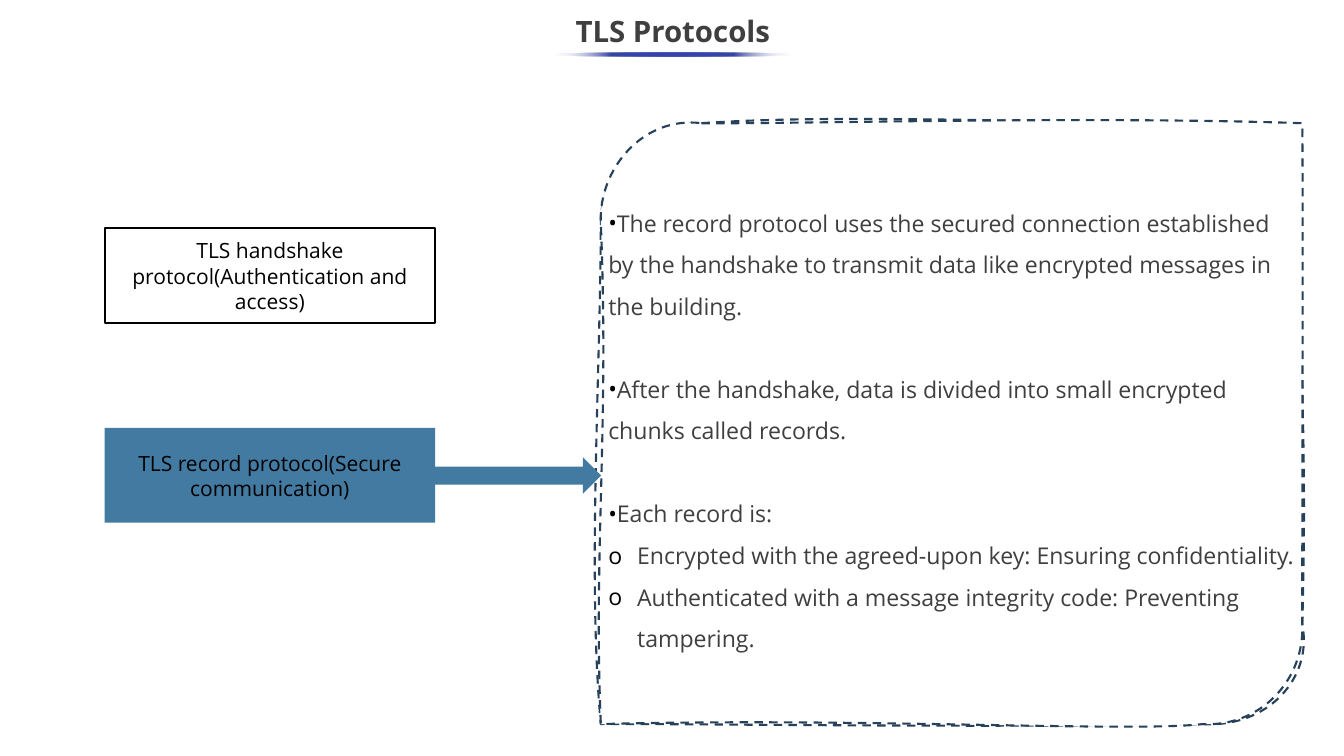
from dataclasses import dataclass
from lxml import etree
from pptx import Presentation
from pptx.dml.color import RGBColor
from pptx.enum.dml import MSO_LINE
from pptx.enum.shapes import MSO_SHAPE
from pptx.enum.text import MSO_ANCHOR, PP_ALIGN
from pptx.oxml.ns import qn
from pptx.util import Cm, Pt

RECT, ARROW, OVAL = MSO_SHAPE.RECTANGLE, MSO_SHAPE.RIGHT_ARROW, MSO_SHAPE.OVAL
DASH = MSO_LINE.DASH
MIDDLE = MSO_ANCHOR.MIDDLE
LEFT, CENTER = PP_ALIGN.LEFT, PP_ALIGN.CENTER


@dataclass(frozen=True)
class Theme:
    font: str = "Open Sans"
    ink: str = "3F3F3F"
    black: str = "000000"
    white: str = "FFFFFF"
    blue: str = "427AA1"
    navy: str = "264159"
    accent: str = "3645A9"
    title_size: int = 28
    label_size: int = 20
    body_size: int = 22
    line_width: int = 2


BULLETS = [
    ("•", "The record protocol uses the secured connection established by the handshake "
          "to transmit data like encrypted messages in the building.", False),
    ("•", "After the handshake, data is divided into small encrypted chunks called records.", True),
    ("•", "Each record is:", True),
    ("o", "Encrypted with the agreed-upon key: Ensuring confidentiality.", False),
    ("o", "Authenticated with a message integrity code: Preventing tampering.", False),
]
INDENTS = {"•": (0, -0.38), "o": (0.97, -0.97)}

PANEL_LEFT, PANEL_TOP, PANEL_RIGHT, PANEL_BOTTOM = 20.19, 4.14, 43.76, 24.33
ANCHORS = [(23.57, PANEL_TOP), (PANEL_RIGHT, PANEL_TOP), (PANEL_RIGHT, 20.98),
           (40.41, PANEL_BOTTOM), (PANEL_LEFT, PANEL_BOTTOM), (PANEL_LEFT, 7.52)]
SKETCH_CONTROLS = [
    [((28.96, 3.76), (38.07, 4.27)), ((43.51, 11.61), (43.97, 13.31)),
     ((44.12, 22.76), (42.62, 24.46)), ((32.72, 24.46), (23.29, 24.31)),
     ((19.74, 19.53), (20.17, 12.65)), ((20.17, 5.61), (21.84, 4.04))],
    [((26.8, 4.17), (36.42, 3.89)), ((43.79, 7.37), (43.76, 12.9)),
     ((43.84, 22.81), (42.39, 24.43)), ((37.97, 24.61), (28.85, 24.1)),
     ((19.94, 18.57), (20.47, 14.4)), ((20.09, 5.71), (21.59, 3.89))],
]


class SlideBuilder:
    def __init__(self, slide, theme):
        self.s = slide
        self.theme = theme

    def run(self, p, text, size, color, bold=False):
        r = p.add_run()
        r.text = text
        r.font.name = self.theme.font
        r.font.size = Pt(size)
        r.font.bold = bold
        r.font.color.rgb = RGBColor.from_string(color)

    def style(self, sp, fill, line=None):
        sp.shadow.inherit = False
        sp.fill.solid()
        sp.fill.fore_color.rgb = RGBColor.from_string(fill)
        if line:
            sp.line.color.rgb = RGBColor.from_string(line)
            sp.line.width = Pt(self.theme.line_width)
        else:
            sp.line.fill.background()

    def title(self, text, left, top, width, height):
        sp = self.s.shapes.title
        sp.left, sp.top, sp.width, sp.height = Cm(left), Cm(top), Cm(width), Cm(height)
        tf = sp.text_frame
        tf.vertical_anchor = MIDDLE
        p = tf.paragraphs[0]
        p.alignment = CENTER
        p.line_spacing = 0.9
        self.run(p, text, self.theme.title_size, self.theme.ink, True)

    def shape(self, kind, left, top, width, height, fill, line=None):
        sp = self.s.shapes.add_shape(kind, Cm(left), Cm(top), Cm(width), Cm(height))
        self.style(sp, fill, line)
        return sp

    def box(self, text, left, top, width, height, fill, line=None):
        sp = self.shape(RECT, left, top, width, height, fill, line)
        tf = sp.text_frame
        tf.word_wrap = True
        tf.vertical_anchor = MIDDLE
        p = tf.paragraphs[0]
        p.alignment = CENTER
        self.run(p, text, self.theme.label_size, self.theme.black)

    def underline(self, left, top, width, height):
        sp = self.shape(OVAL, left, top, width, height, self.theme.accent)
        solid = sp.element.spPr.find(qn("a:solidFill"))
        grad = etree.Element(qn("a:gradFill"))
        stops = etree.SubElement(grad, qn("a:gsLst"))
        for percent in range(0, 101, 25):
            edge = percent in (0, 100)
            stop = etree.SubElement(stops, qn("a:gs"), pos=str(percent * 1000))
            color = etree.SubElement(stop, qn("a:srgbClr"),
                                     val=self.theme.white if edge else self.theme.accent)
            if edge:
                etree.SubElement(color, qn("a:alpha"), val="0")
        etree.SubElement(grad, qn("a:lin"), ang="10800000", scaled="0")
        solid.getparent().replace(solid, grad)

    def point(self, parent, position):
        x, y = position
        etree.SubElement(parent, qn("a:pt"), x=str(Cm(x - PANEL_LEFT)), y=str(Cm(y - PANEL_TOP)))

    def sketch(self, sp):
        outlines = sp.element.spPr.find(qn("a:custGeom")).find(qn("a:pathLst"))
        outlines.clear()
        ends = ANCHORS[1:] + ANCHORS[:1]
        for fill, controls in zip(("none", "norm"), SKETCH_CONTROLS):
            outline = etree.SubElement(outlines, qn("a:path"), w=str(sp.width),
                                       h=str(sp.height), fill=fill)
            self.point(etree.SubElement(outline, qn("a:moveTo")), ANCHORS[0])
            for pair, end in zip(controls, ends):
                curve = etree.SubElement(outline, qn("a:cubicBezTo"))
                for position in (*pair, end):
                    self.point(curve, position)
            etree.SubElement(outline, qn("a:close"))

    def panel(self, bullets):
        corners = [(Cm(x), Cm(y)) for x, y in ANCHORS]
        builder = self.s.shapes.build_freeform(*corners[0])
        builder.add_line_segments(corners[1:], close=True)
        sp = builder.convert_to_shape()
        self.sketch(sp)
        self.style(sp, self.theme.white, self.theme.navy)
        sp.line.dash_style = DASH
        tf = sp.text_frame
        tf.word_wrap = True
        tf.vertical_anchor = MIDDLE
        for i, (mark, text, gap) in enumerate(bullets):
            p = tf.add_paragraph() if i else tf.paragraphs[0]
            self.bullet(p, mark)
            p.alignment = LEFT
            p.line_spacing = 1.5
            if gap:
                p.space_before = Pt(self.theme.body_size * 1.8)
            self.run(p, text, self.theme.body_size, self.theme.ink)

    def bullet(self, p, mark):
        margin, indent = INDENTS[mark]
        pPr = p._p.get_or_add_pPr()
        pPr.set("marL", str(Cm(margin)))
        pPr.set("indent", str(Cm(indent)))
        color = etree.SubElement(pPr, qn("a:buClr"))
        etree.SubElement(color, qn("a:srgbClr"), val=self.theme.black)
        etree.SubElement(pPr, qn("a:buFont"), typeface=self.theme.font)
        etree.SubElement(pPr, qn("a:buChar"), char=mark)


def main():
    prs = Presentation()
    prs.slide_width, prs.slide_height = Cm(45.16), Cm(25.4)
    theme = Theme()
    b = SlideBuilder(prs.slides.add_slide(prs.slide_layouts[5]), theme)
    b.title("TLS Protocols", 0, 0.15, 45.21, 1.9)
    b.box("TLS handshake protocol(Authentication and access)",
          3.52, 7.67, 11.1, 3.18, theme.white, theme.black)
    b.box("TLS record protocol(Secure communication)", 3.52, 14.38, 11.1, 3.18, theme.blue)
    b.panel(BULLETS)
    b.shape(ARROW, 14.61, 15.37, 5.59, 1.22, theme.blue)
    b.underline(18.49, 1.78, 8.2, 0.11)
    prs.save("out.pptx")


if __name__ == "__main__":
    main()
